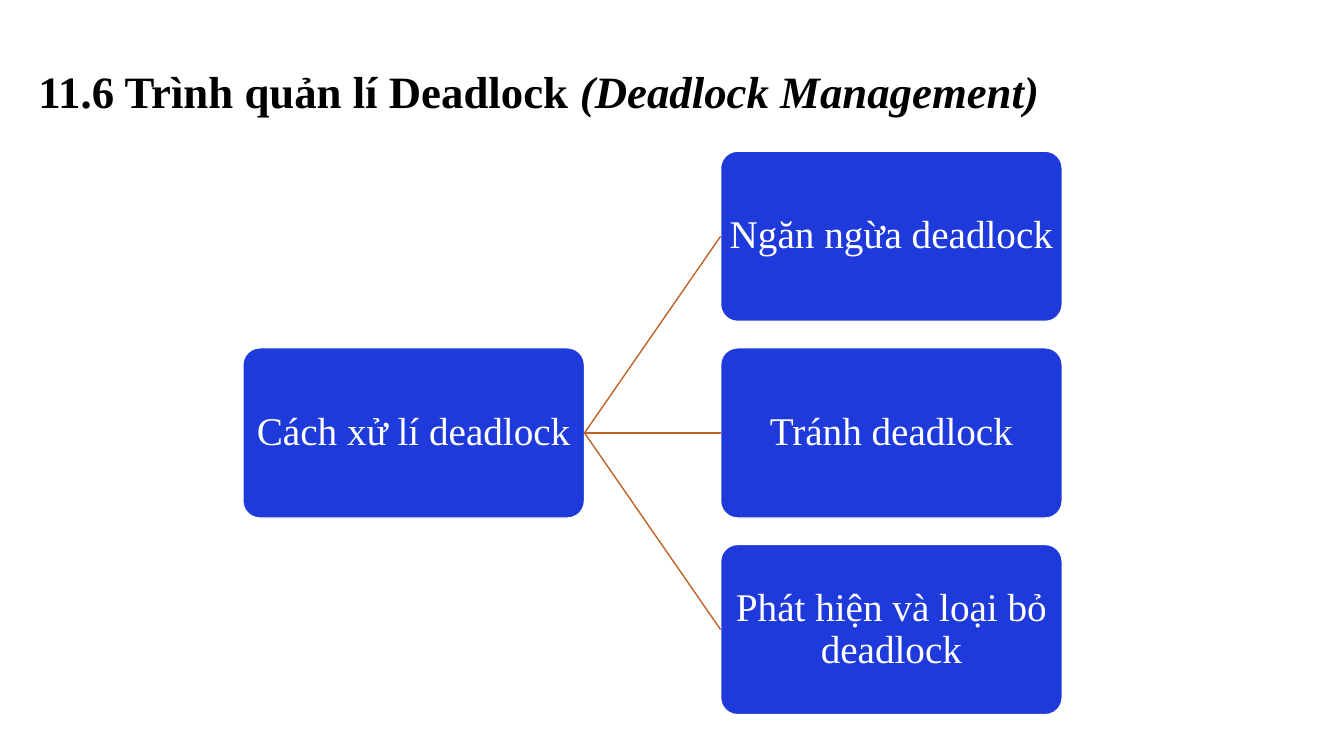
from lxml.etree import SubElement
from pptx import Presentation
from pptx.dml.color import RGBColor
from pptx.enum.shapes import MSO_CONNECTOR as Connector, MSO_SHAPE as Shape
from pptx.enum.text import MSO_ANCHOR as Anchor, MSO_AUTO_SIZE as AutoSize, PP_ALIGN as Align
from pptx.oxml.ns import qn
from pptx.util import Cm, Pt

BLACK = RGBColor(0x00, 0x00, 0x00)
WHITE = RGBColor(0xFF, 0xFF, 0xFF)
BLUE = RGBColor(0x1E, 0x3A, 0xDA)
ORANGE = RGBColor(0xBE, 0x64, 0x27)
FONT = "Times New Roman"
RIGHT_SIDE, LEFT_SIDE = 3, 1

TITLE_FONT = {"name": FONT, "size": Pt(32), "bold": True}
NODE_FONT = {"name": FONT, "size": Pt(28), "bold": False}
TITLE_FRAME = {"word_wrap": True, "auto_size": AutoSize.NONE, "vertical_anchor": Anchor.MIDDLE}
NODE_FRAME = {
    "word_wrap": True,
    "vertical_anchor": Anchor.MIDDLE,
    "margin_left": Cm(0.04),
    "margin_right": Cm(0.04),
    "margin_top": Cm(0.05),
    "margin_bottom": Cm(0.05),
}


def apply_format(target, values):
    for name, value in values.items():
        setattr(target, name, value)


def add_run(paragraph, text, font_values, color):
    run = paragraph.add_run()
    run.text = text
    apply_format(run.font, font_values)
    run.font.color.rgb = color


def add_title(slide, left, top, width, height):
    title = slide.shapes.title
    apply_format(title, {"left": left, "top": top, "width": width, "height": height})
    apply_format(title.text_frame, TITLE_FRAME)
    paragraph = title.text_frame.paragraphs[0]
    paragraph.alignment = Align.LEFT
    add_run(paragraph, "11.6 Trình quản lí Deadlock ", TITLE_FONT, BLACK)
    add_run(paragraph, "(Deadlock Management)", {**TITLE_FONT, "italic": True}, BLACK)


def add_node(slide, text, left, top, width, height):
    node = slide.shapes.add_shape(Shape.ROUNDED_RECTANGLE, left, top, width, height)
    node.adjustments[0] = 0.1
    node.shadow.inherit = False
    node.fill.solid()
    node.fill.fore_color.rgb = BLUE
    node.line.color.rgb = WHITE
    node.line.width = Pt(1)
    apply_format(node.text_frame, NODE_FRAME)
    paragraph = node.text_frame.paragraphs[0]
    apply_format(paragraph, {"alignment": Align.CENTER, "line_spacing": 0.9})
    add_run(paragraph, text, NODE_FONT, WHITE)
    return node


def add_branch(slide, parent, child):
    branch = slide.shapes.add_connector(Connector.STRAIGHT, 0, 0, 0, 0)
    branch.begin_connect(parent, RIGHT_SIDE)
    branch.end_connect(child, LEFT_SIDE)
    branch.line.color.rgb = ORANGE
    branch.line.width = Pt(1)
    SubElement(branch._element.spPr, qn("a:effectLst"))


def add_hierarchy(slide, root_text, child_texts, left, top, width, height):
    node_width, node_height = Cm(8.61), Cm(4.29)
    step = (height - node_height) // (len(child_texts) - 1)
    root_top = top + (height - node_height) // 2
    root = add_node(slide, root_text, left, root_top, node_width, node_height)
    child_left = left + width - node_width
    for index, text in enumerate(child_texts):
        child = add_node(slide, text, child_left, top + index * step, node_width, node_height)
        add_branch(slide, root, child)


def main():
    presentation = Presentation()
    presentation.slide_width = Cm(33.87)
    presentation.slide_height = Cm(19.05)
    slide = presentation.slides.add_slide(presentation.slide_layouts[5])
    add_title(slide, Cm(0.71), Cm(1.47), Cm(26.26), Cm(1.63))
    add_hierarchy(
        slide,
        "Cách xử lí deadlock",
        ["Ngăn ngừa deadlock", "Tránh deadlock", "Phát hiện và loại bỏ deadlock"],
        Cm(6.12), Cm(3.81), Cm(20.65), Cm(14.2),
    )
    presentation.save("out.pptx")


if __name__ == "__main__":
    main()
